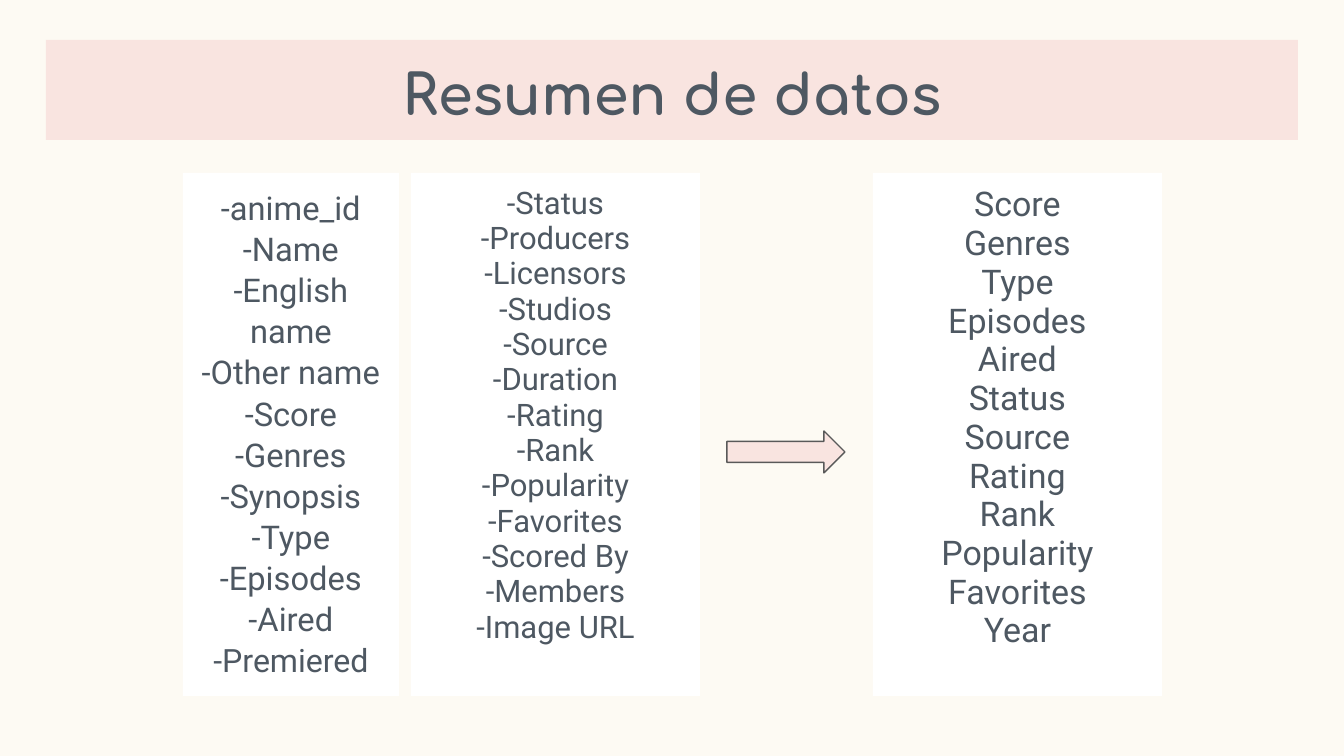
from dataclasses import dataclass

from pptx import Presentation
from pptx import util as u
from pptx.dml.color import RGBColor
from pptx.enum import shapes, text

SCALE = 914400 / 134.4  # EMU per px

CREAM = RGBColor(0xFD, 0xFA, 0xF3)
PINK = RGBColor(0xF9, 0xE4, 0xE0)
WHITE = RGBColor(0xFF, 0xFF, 0xFF)
SLATE = RGBColor(0x4E, 0x58, 0x62)
GRAY = RGBColor(0x59, 0x59, 0x59)

TOP, TALL = 173, 523  # shared by all columns
INSET = 13


@dataclass
class Style:
    font: str
    size: float
    bold: bool = False
    gap: float = 1.0


@dataclass
class Column:
    left: int
    width: int
    style: Style
    names: list[str]
    last: float | None = None  # size of the last line, if it differs


COLUMNS = [
    Column(183, 216, Style("Roboto", 17.5, gap=1.05),
           ["-anime_id", "-Name", "-English name", "-Other name", "-Score",
            "-Genres", "-Synopsis", "-Type", "-Episodes", "-Aired",
            "-Premiered"], last=17.2),
    Column(411, 289, Style("Roboto", 16.6, gap=0.95),
           ["-Status", "-Producers", "-Licensors", "-Studios", "-Source",
            "-Duration", "-Rating", "-Rank", "-Popularity", "-Favorites",
            "-Scored By", "-Members", "-Image URL"]),
    Column(873, 289, Style("Roboto", 18.2, gap=0.95),
           ["Score", "Genres", "Type", "Episodes", "Aired", "Status",
            "Source", "Rating", "Rank", "Popularity", "Favorites", "Year"]),
]


def px(n: int) -> u.Emu:
    return u.Emu(round(n * SCALE))


def add_box(slide, kind, left: int, top: int, width: int, height: int,
            fill: RGBColor):
    box = slide.shapes.add_shape(kind, px(left), px(top), px(width), px(height))
    box.shadow.inherit = False
    box.fill.solid()
    box.fill.fore_color.rgb = fill
    box.line.fill.background()
    return box


def add_text(box, lines: list[str], style: Style, anchor,
             last: float | None = None) -> None:
    frame = box.text_frame
    frame.word_wrap = True
    frame.vertical_anchor = anchor
    frame.margin_left = frame.margin_right = px(INSET)
    frame.margin_top = frame.margin_bottom = px(INSET)
    for i, line in enumerate(lines):
        para = frame.add_paragraph() if i else frame.paragraphs[0]
        para.alignment = text.PP_ALIGN.CENTER
        para.line_spacing = style.gap
        run = para.add_run()
        run.text = line
        font = run.font
        font.name = style.font
        font.size = u.Pt(style.size)
        font.bold = style.bold
        font.color.rgb = SLATE
    if last:
        font.size = u.Pt(last)


def main() -> None:
    deck = Presentation()
    deck.slide_width, deck.slide_height = px(1344), px(756)
    slide = deck.slides.add_slide(deck.slide_layouts[6])
    slide.background.fill.solid()
    slide.background.fill.fore_color.rgb = CREAM
    rect = shapes.MSO_SHAPE.RECTANGLE

    # Title band
    band = add_box(slide, rect, 46, 40, 1252, 100, PINK)
    add_text(band, ["Resumen de datos"], Style("Comfortaa", 30, bold=True),
             text.MSO_ANCHOR.BOTTOM)

    # Columns of field names
    for col in COLUMNS:
        card = add_box(slide, rect, col.left, TOP, col.width, TALL, WHITE)
        add_text(card, col.names, col.style, text.MSO_ANCHOR.TOP, col.last)

    # Arrow from all fields to the chosen ones
    arrow = add_box(slide, shapes.MSO_SHAPE.RIGHT_ARROW, 727, 431, 118, 42, PINK)
    arrow.line.color.rgb = GRAY
    arrow.line.width = u.Pt(0.75)

    deck.save("out.pptx")


if __name__ == "__main__":
    main()
